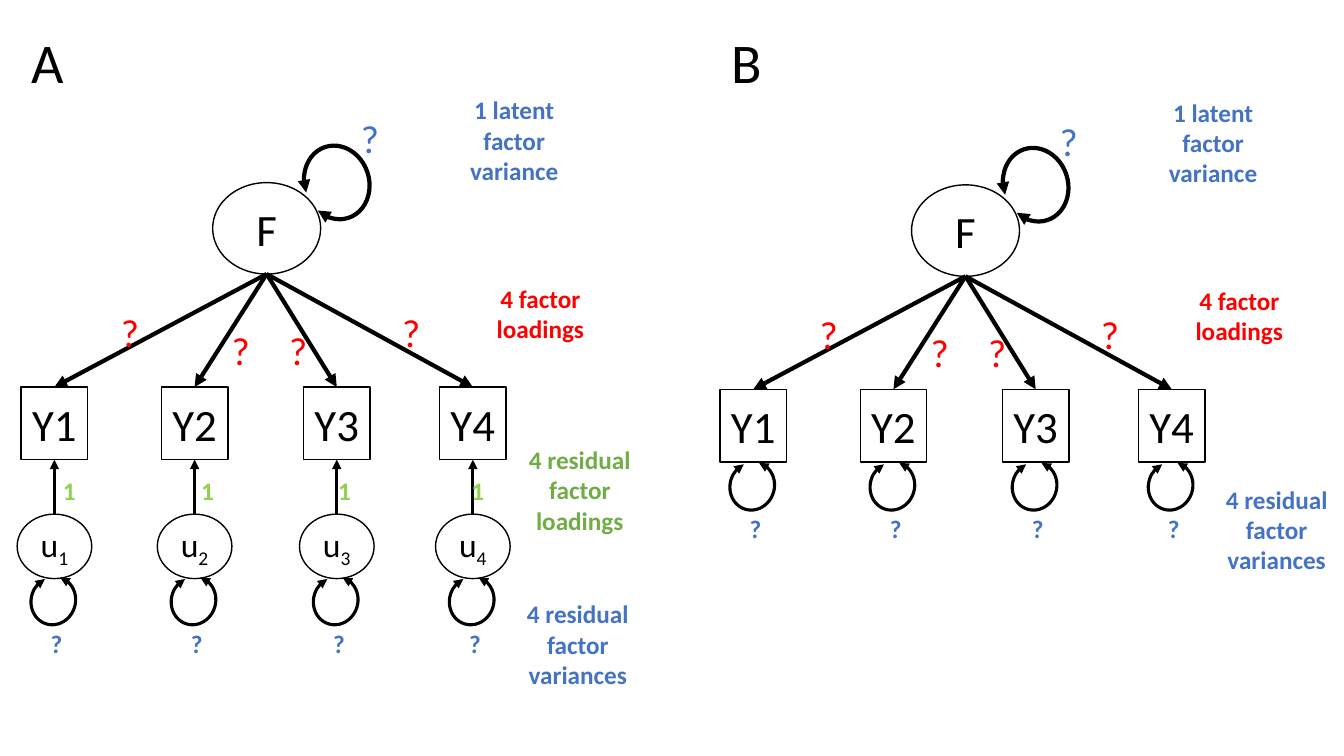
from dataclasses import dataclass
from typing import Any

from lxml.etree import SubElement
from pptx import Presentation
from pptx.dml.color import RGBColor
from pptx.enum.shapes import MSO_CONNECTOR, MSO_SHAPE
from pptx.enum.text import MSO_ANCHOR, MSO_AUTO_SIZE, PP_ALIGN
from pptx.oxml.ns import qn
from pptx.util import Inches, Pt

BLACK = RGBColor(0x00, 0x00, 0x00)
WHITE = RGBColor(0xFF, 0xFF, 0xFF)
BLUE = RGBColor(0x44, 0x72, 0xC4)
RED = RGBColor(0xFF, 0x00, 0x00)
GREEN = RGBColor(0x70, 0xAD, 0x47)
LIME = RGBColor(0x92, 0xD0, 0x50)

WIDTH, HEIGHT = Inches(13.33), Inches(7.5)

# Places and sizes are percentages of the slide's width and height.
COLUMNS = (4.05, 14.48, 25.06, 35.18)
FACTOR = (19.84, 30.2, 8.03, 12.1)
INDICATOR_Y, INDICATOR_SIZE = 56, (4.95, 9.6)
RESIDUAL_Y, RESIDUAL_SIZE = 72.27, (5.55, 8.53)
LOADING_MARKS = ((9.45, 43.73), (17.7, 46.13), (21.98, 46.13), (30.38, 43.73))
ONES_TABS = (0.28, 1.65, 3.01, 4.33)


@dataclass
class Panel:
    """A shape collection whose content is shifted by dx and dy percent."""
    shapes: Any
    dx: float
    dy: float

    def point(self, x, y):
        return int(WIDTH * (x + self.dx) / 100), int(HEIGHT * (y + self.dy) / 100)

    def box(self, cx, cy, w, h):
        return (*self.point(cx - w / 2, cy - h / 2),
                int(WIDTH * w / 100), int(HEIGHT * h / 100))


def add_run(p, text, size, color, bold=False):
    r = p.add_run()
    r.text = text
    r.font.name = "Calibri"
    r.font.size = Pt(size)
    r.font.bold = bold
    r.font.color.rgb = color
    return r


def add_arrowheads(line_owner, *ends):
    ln = line_owner.line._get_or_add_ln()
    for end in ends:
        SubElement(ln, qn(f"a:{end}"), type="triangle")


def add_node(panel, kind, box, text, size, subscript="", fill=None):
    sp = panel.shapes.add_shape(kind, *panel.box(*box))
    sp.shadow.inherit = False
    if fill is None:
        sp.fill.background()
    else:
        sp.fill.solid()
        sp.fill.fore_color.rgb = fill
    sp.line.color.rgb = BLACK
    sp.line.width = Pt(1)
    tf = sp.text_frame
    tf.word_wrap = False
    tf.vertical_anchor = MSO_ANCHOR.MIDDLE
    p = tf.paragraphs[0]
    p.alignment = PP_ALIGN.CENTER
    add_run(p, text, size, BLACK)
    if subscript:
        r = add_run(p, subscript, size, BLACK)
        r.font._element.set("baseline", "-25000")
    return sp


def add_loop(panel, box, rotation, width):
    """Draw a double-headed variance loop."""
    sp = panel.shapes.add_shape(MSO_SHAPE.ARC, *panel.box(*box))
    sp.adjustments[0], sp.adjustments[1] = 162, 139.329
    sp.rotation = rotation
    sp.shadow.inherit = False
    sp.fill.background()
    sp.line.color.rgb = BLACK
    sp.line.width = Pt(width)
    add_arrowheads(sp, "headEnd", "tailEnd")


def add_arrow(panel, start, end, width):
    cx = panel.shapes.add_connector(
        MSO_CONNECTOR.STRAIGHT, *panel.point(*start), *panel.point(*end))
    cx.line.color.rgb = BLACK
    cx.line.width = Pt(width)
    add_arrowheads(cx, "tailEnd")
    SubElement(cx._element.spPr, qn("a:effectLst"))
    return cx


def add_text(panel, box, text, size, color, bold=False, align=None, tabs=()):
    s = panel.shapes.add_textbox(*panel.box(*box))
    tf = s.text_frame
    tf.word_wrap = True
    tf.auto_size = MSO_AUTO_SIZE.SHAPE_TO_FIT_TEXT
    p = tf.paragraphs[0]
    p.alignment = align
    if tabs:
        tab_list = SubElement(p._p.get_or_add_pPr(), qn("a:tabLst"))
        for tab in tabs:
            SubElement(tab_list, qn("a:tab"), pos=str(Inches(tab)), algn="ctr")
    add_run(p, text, size, color, bold)


def add_caption(panel, cx, cy, text, color, height=12.67):
    add_text(panel, (cx, cy, 10.05, height), text, 18, color, True, PP_ALIGN.CENTER)


def add_mark(panel, cx, cy, color):
    add_text(panel, (cx, cy, 2.4, 7.2), "?", 28, color)


def add_factor(panel):
    """Draw the latent factor, its indicators and loadings; return the indicators."""
    indicators = [
        add_node(panel, MSO_SHAPE.RECTANGLE, (x, INDICATOR_Y, *INDICATOR_SIZE), f"Y{i}", 32)
        for i, x in enumerate(COLUMNS, 1)]
    add_node(panel, MSO_SHAPE.OVAL, FACTOR, "F", 32, fill=WHITE)
    cx, cy, _, h = FACTOR
    for x, indicator in zip(COLUMNS, indicators):
        top = INDICATOR_Y - INDICATOR_SIZE[1] / 2
        add_arrow(panel, (cx, cy + h / 2), (x, top), 3).end_connect(indicator, 0)
    add_loop(panel, (25.06, 24.13, *RESIDUAL_SIZE), 251.7, 3)
    add_mark(panel, 27.31, 18.13, BLUE)
    for x, y in LOADING_MARKS:
        add_mark(panel, x, y, RED)
    add_caption(panel, 38.26, 18.2, "1 latent factor variance", BLUE)
    add_caption(panel, 40.21, 41.2, "4 factor loadings", RED, 8.8)
    return indicators


def add_residual_factors(panel, indicators):
    top = RESIDUAL_Y - RESIDUAL_SIZE[1] / 2
    bottom = INDICATOR_Y + INDICATOR_SIZE[1] / 2
    for i, (x, indicator) in enumerate(zip(COLUMNS, indicators), 1):
        residual = add_node(panel, MSO_SHAPE.OVAL, (x, RESIDUAL_Y, *RESIDUAL_SIZE),
                            "u", 24, str(i), WHITE)
        arrow = add_arrow(panel, (x, top), (x, bottom), 2.25)
        arrow.begin_connect(residual, 0)
        arrow.end_connect(indicator, 2)
    add_text(panel, (19.99, 64.93, 35.33, 5.33), "\t1" * len(COLUMNS), 18, LIME, True,
             tabs=ONES_TABS)
    add_caption(panel, 43.14, 64.47, "4 residual factor loadings", GREEN)


def add_residual_variances(panel, loop_y):
    for x in COLUMNS:
        add_loop(panel, (x - 0.08, loop_y, 3.3, 6.4), 16.7, 2.25)
        add_text(panel, (x, loop_y + 5.46, 2.03, 5.07), "?", 18, BLUE, True)
    add_caption(panel, 42.99, loop_y + 5.4, "4 residual factor variances", BLUE)


def main():
    prs = Presentation()
    prs.slide_width, prs.slide_height = WIDTH, HEIGHT
    shapes = prs.slides.add_slide(prs.slide_layouts[6]).shapes

    panel_a = Panel(shapes.add_group_shape().shapes, 0, 0)
    add_residual_factors(panel_a, add_factor(panel_a))
    add_residual_variances(panel_a, 79.47)

    panel_b = Panel(shapes, 52, 0.3)
    add_factor(panel_b)
    add_residual_variances(panel_b, 64)

    for letter, dx in (("A", 0), ("B", 52)):
        add_text(Panel(shapes, dx, 0), (3.53, 8.07, 3.9, 10.27), letter, 40, BLACK,
                 align=PP_ALIGN.CENTER)
    prs.save("out.pptx")


if __name__ == "__main__":
    main()
